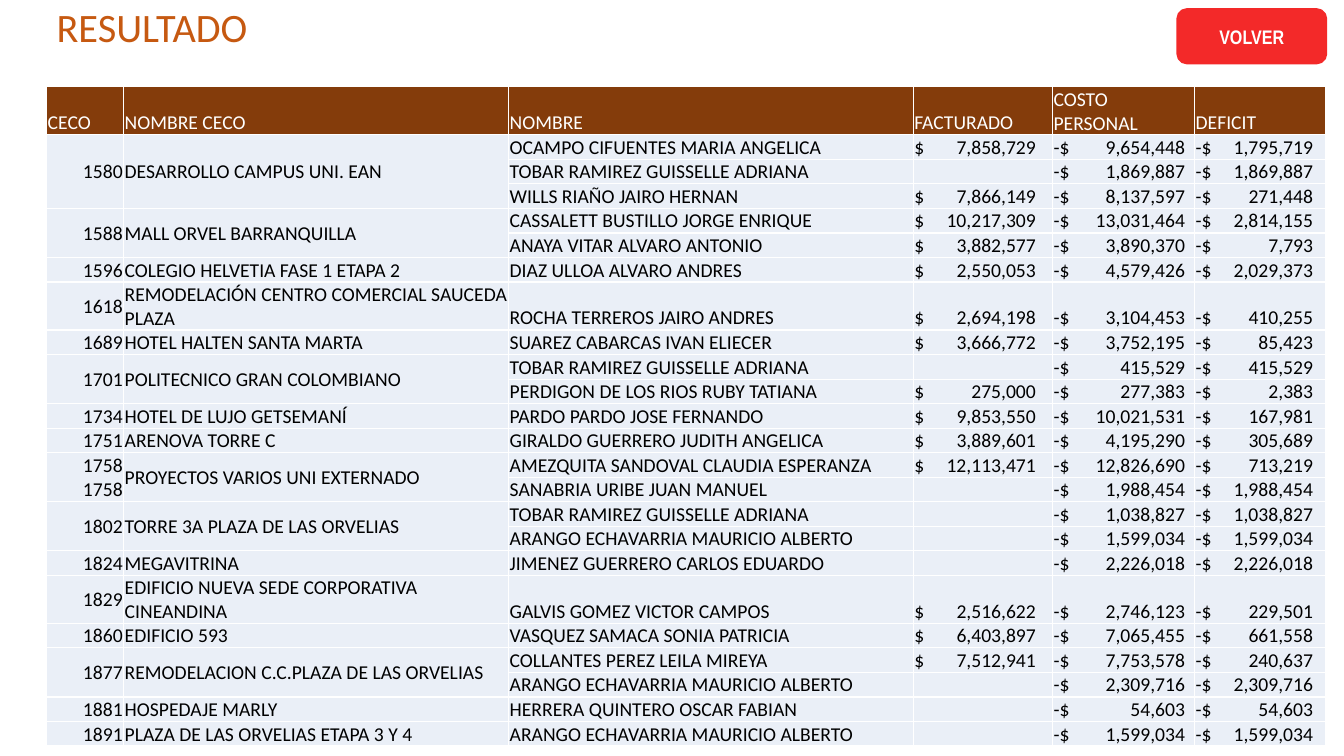
from lxml import etree
from pptx import Presentation
from pptx.dml.color import RGBColor
from pptx.enum.shapes import MSO_SHAPE
from pptx.enum.text import MSO_ANCHOR, PP_ALIGN
from pptx.oxml.ns import qn
from pptx.util import Pt

LEFT, CENTER, RIGHT = PP_ALIGN.LEFT, PP_ALIGN.CENTER, PP_ALIGN.RIGHT
MIDDLE, BOTTOM = MSO_ANCHOR.MIDDLE, MSO_ANCHOR.BOTTOM
ROUNDED = MSO_SHAPE.ROUNDED_RECTANGLE

WHITE = RGBColor(0xFF, 0xFF, 0xFF)
BLACK = RGBColor(0, 0, 0)
ORANGE = RGBColor(0xC6, 0x59, 0x11)
BROWN = RGBColor(0x84, 0x3C, 0x0B)
PALE_BLUE = RGBColor(0xEA, 0xEF, 0xF7)
RED = RGBColor(0xF3, 0x29, 0x29)

HEADINGS = ["CECO", "NOMBRE CECO", "NOMBRE", "FACTURADO", "COSTO PERSONAL", "DEFICIT"]
COLUMN_WIDTHS = [55, 275, 289, 99.5, 101.5, 93.5]
AMOUNT_TABS = {3: 87, 4: 94, 5: 84}
ROW_HEIGHT = 14.4

# Cost centre code, its name, and its people: name, billed amount, staff cost
COST_CENTRES = [
    ("1580", "DESARROLLO CAMPUS UNI. EAN", [
        ("OCAMPO CIFUENTES MARIA ANGELICA", 7858729, 9654448),
        ("TOBAR RAMIREZ GUISSELLE ADRIANA", 0, 1869887),
        ("WILLS RIAÑO JAIRO HERNAN", 7866149, 8137597)]),
    ("1588", "MALL ORVEL BARRANQUILLA", [
        ("CASSALETT BUSTILLO JORGE ENRIQUE", 10217309, 13031464),
        ("ANAYA VITAR ALVARO ANTONIO", 3882577, 3890370)]),
    ("1596", "COLEGIO HELVETIA FASE 1 ETAPA 2", [
        ("DIAZ ULLOA ALVARO ANDRES", 2550053, 4579426)]),
    ("1618", "REMODELACIÓN CENTRO COMERCIAL SAUCEDA PLAZA", [
        ("ROCHA TERREROS JAIRO ANDRES", 2694198, 3104453)]),
    ("1689", "HOTEL HALTEN SANTA MARTA", [
        ("SUAREZ CABARCAS IVAN ELIECER", 3666772, 3752195)]),
    ("1701", "POLITECNICO GRAN COLOMBIANO", [
        ("TOBAR RAMIREZ GUISSELLE ADRIANA", 0, 415529),
        ("PERDIGON DE LOS RIOS RUBY TATIANA", 275000, 277383)]),
    ("1734", "HOTEL DE LUJO GETSEMANÍ", [
        ("PARDO PARDO JOSE FERNANDO", 9853550, 10021531)]),
    ("1751", "ARENOVA TORRE C", [
        ("GIRALDO GUERRERO JUDITH ANGELICA", 3889601, 4195290)]),
    ("1758\n1758", "PROYECTOS VARIOS UNI EXTERNADO\n", [
        ("AMEZQUITA SANDOVAL CLAUDIA ESPERANZA", 12113471, 12826690),
        ("SANABRIA URIBE JUAN MANUEL", 0, 1988454)]),
    ("1802", "TORRE 3A PLAZA DE LAS ORVELIAS", [
        ("TOBAR RAMIREZ GUISSELLE ADRIANA", 0, 1038827),
        ("ARANGO ECHAVARRIA MAURICIO ALBERTO", 0, 1599034)]),
    ("1824", "MEGAVITRINA", [
        ("JIMENEZ GUERRERO CARLOS EDUARDO", 0, 2226018)]),
    ("1829", "EDIFICIO NUEVA SEDE CORPORATIVA CINEANDINA", [
        ("GALVIS GOMEZ VICTOR CAMPOS", 2516622, 2746123)]),
    ("1860", "EDIFICIO 593", [
        ("VASQUEZ SAMACA SONIA PATRICIA", 6403897, 7065455)]),
    ("1877", "REMODELACION C.C.PLAZA DE LAS ORVELIAS", [
        ("COLLANTES PEREZ LEILA MIREYA", 7512941, 7753578),
        ("ARANGO ECHAVARRIA MAURICIO ALBERTO", 0, 2309716)]),
    ("1881", "HOSPEDAJE MARLY", [
        ("HERRERA QUINTERO OSCAR FABIAN", 0, 54603)]),
    ("1891", "PLAZA DE LAS ORVELIAS ETAPA 3 Y 4", [
        ("ARANGO ECHAVARRIA MAURICIO ALBERTO", 0, 1599034)]),
]


def write(frame, text, size=14, color=BLACK, font="Calibri", bold=False,
          align=LEFT, spacing=None, tab=None):
    """Fill a text frame, one paragraph a line; tab is a right tab stop in points."""
    for index, line in enumerate(text.strip().split("\n")):
        paragraph = frame.add_paragraph() if index else frame.paragraphs[0]
        paragraph.alignment = align
        if spacing:
            paragraph.line_spacing = spacing
        if tab:
            stops = etree.SubElement(paragraph._p.get_or_add_pPr(), qn("a:tabLst"))
            etree.SubElement(stops, qn("a:tab"), pos=str(Pt(tab)), algn="r")
        if not line:
            etree.SubElement(paragraph._p, qn("a:endParaRPr"), sz=str(size * 100))
            continue
        run = paragraph.add_run()
        run.text = line
        run.font.size = Pt(size)
        run.font.name = font
        run.font.bold = bold
        run.font.color.rgb = color


def fill_cell(cell, text, fill, anchor=BOTTOM, **text_format):
    cell.margin_left = cell.margin_right = cell.margin_top = Pt(0.7)
    cell.margin_bottom = 0
    cell.vertical_anchor = anchor
    properties = cell._tc.get_or_add_tcPr()
    for side in ("a:lnL", "a:lnR", "a:lnT", "a:lnB"):
        border = etree.SubElement(properties, qn(side), w=str(Pt(1)))
        solid = etree.SubElement(border, qn("a:solidFill"))
        etree.SubElement(solid, qn("a:srgbClr"), val=str(WHITE))
    cell.fill.solid()
    cell.fill.fore_color.rgb = fill
    write(cell.text_frame, text, **text_format)


deck = Presentation()
deck.slide_width, deck.slide_height = Pt(960), Pt(540)
slide = deck.slides.add_slide(deck.slide_layouts[6])

title = slide.shapes.add_textbox(Pt(33.4), 0, Pt(828), Pt(41.8)).text_frame
title.word_wrap = True
title.vertical_anchor = MIDDLE
write(title, "RESULTADO", size=28.8, color=ORANGE, spacing=0.9)

row_count = 1 + sum(len(people) for _, _, people in COST_CENTRES)
results = slide.shapes.add_table(
    row_count, len(HEADINGS), Pt(33.4), Pt(62),
    Pt(sum(COLUMN_WIDTHS)), Pt(ROW_HEIGHT * row_count)).table
results.first_row = results.horz_banding = False
for column, width in zip(results.columns, COLUMN_WIDTHS):
    column.width = Pt(width)
for row in results.rows:
    row.height = Pt(ROW_HEIGHT)

for column, heading in enumerate(HEADINGS):
    fill_cell(results.cell(0, column), heading, BROWN, color=WHITE)

first = 1
for code, centre, people in COST_CENTRES:
    for row, (person, billed, cost) in enumerate(people, first):
        starts_centre = row == first
        fill_cell(results.cell(row, 0), code if starts_centre else "", PALE_BLUE,
                  anchor=MIDDLE, align=RIGHT)
        fill_cell(results.cell(row, 1), centre if starts_centre else "", PALE_BLUE,
                  anchor=MIDDLE)
        fill_cell(results.cell(row, 2), person, PALE_BLUE)
        amounts = [f" $\t{billed:,}" if billed else "",
                   f"-$\t{cost:,}", f"-$\t{cost - billed:,}"]
        for (column, tab), amount in zip(AMOUNT_TABS.items(), amounts):
            # The billed amount keeps its leading space before the currency sign
            fill_cell(results.cell(row, column), amount, PALE_BLUE, tab=tab)
    last = first + len(people) - 1
    if last > first:
        for column in (0, 1):
            results.cell(first, column).merge(results.cell(last, column))
    first = last + 1

back_button = slide.shapes.add_shape(ROUNDED, Pt(841.7), Pt(7.2), Pt(105), Pt(37.4))
back_button.shadow.inherit = False
back_button.fill.solid()
back_button.fill.fore_color.rgb = RED
back_button.line.color.rgb = RED
back_button.line.width = Pt(2.75)
back_button.text_frame.vertical_anchor = MIDDLE
write(back_button.text_frame, "VOLVER", font="Arial Narrow", color=WHITE,
      bold=True, align=CENTER)

deck.save("out.pptx")
